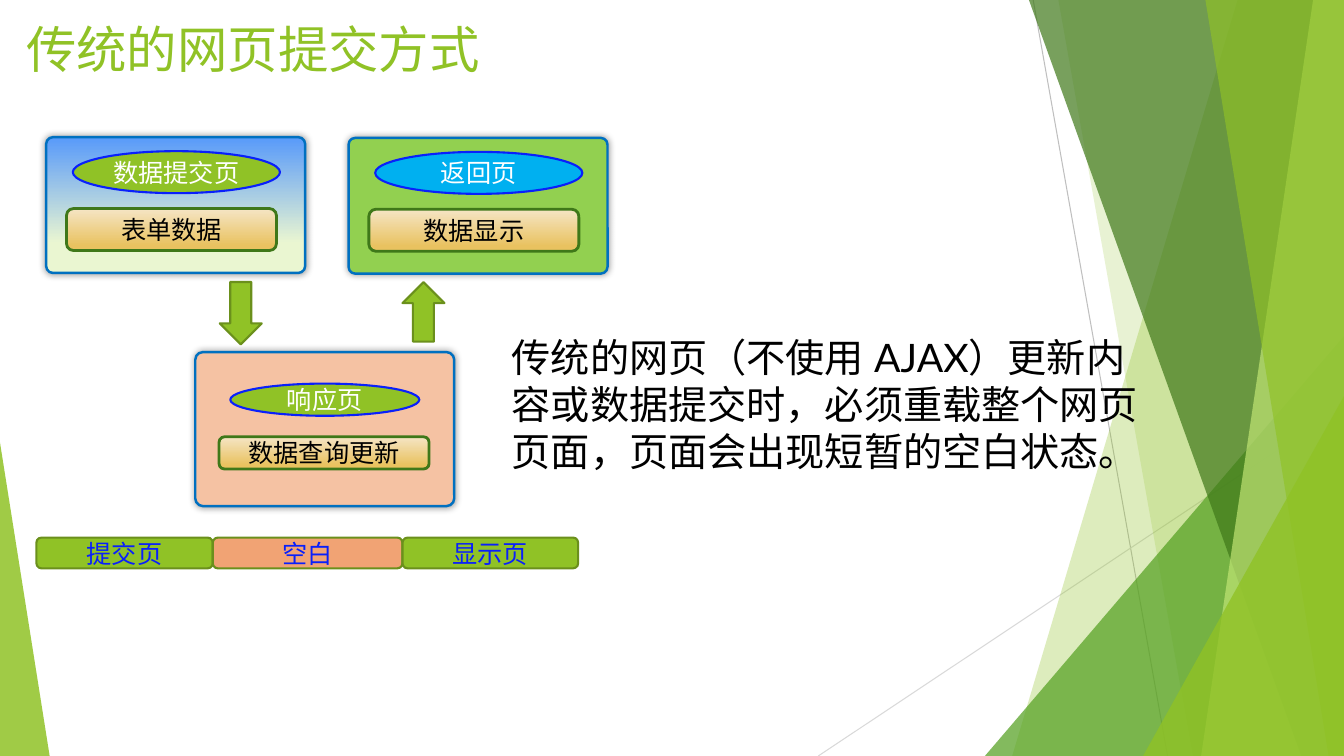
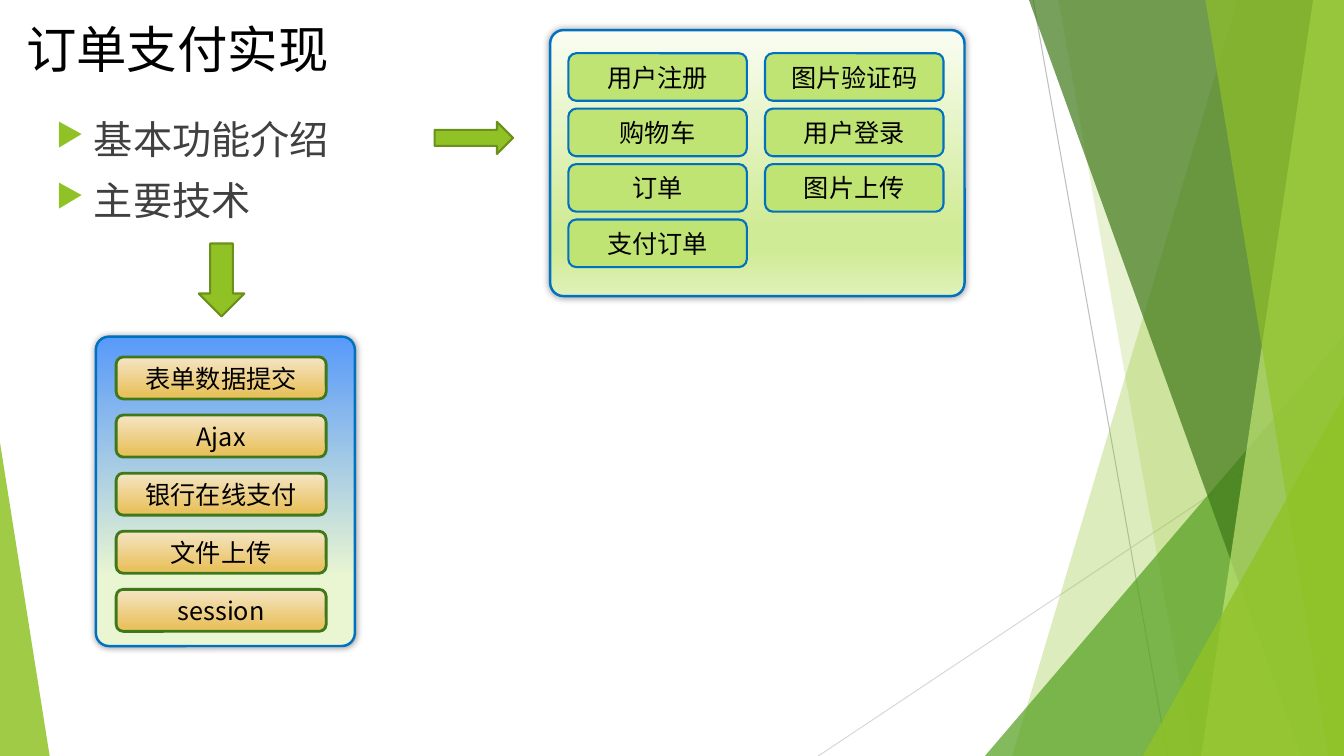
from lxml import etree
from pptx import Presentation
from pptx.dml.color import RGBColor
from pptx.enum import shapes as es, text as et
from pptx.oxml import ns
from pptx.util import Pt

WIDE, HIGH = 960, 540
LATO, NOTO = "Lato", "Noto Sans CJK SC"
LIME, MOSS, BLUE, INK = "90C226", "6B901C", "0070C0", "0920FB"
BLACK, WHITE = "000000", "FFFFFF"
KIND = es.MSO_SHAPE

SKY = [(0, "589AFA"), (78, "EAF6D1")]
GOLD = [(0, "F5E5C5"), (88, "E9C260")]
MINT = [(0, "FAFDF3"), (74, "D0EB96"), (83, "D0EB96"), (100, "DFF1B9")]

BOX = dict(kind=KIND.ROUNDED_RECTANGLE, fill=GOLD, line="3F7819", thick=2, font=NOTO)
KEY = dict(kind=KIND.ROUNDED_RECTANGLE, fill="C0E474", line=BLUE, font=NOTO)
OVAL = dict(kind=KIND.OVAL, line=INK, font=LATO, ink=WHITE)
STEP = dict(kind=KIND.FLOWCHART_ALTERNATE_PROCESS, line=MOSS, font=LATO, ink=INK)
ARROW = dict(fill=LIME, line=MOSS)


def put(item, **vals):
    for name, val in vals.items():
        setattr(item, name, val)


def node(base, tag, **vals):
    """Add an XML child such as a:alpha and return it."""
    return etree.SubElement(base, ns.qn(tag), {k: str(v) for k, v in vals.items()})


def tint(color, code):
    color.rgb = RGBColor.from_string(code)


def paint(shape, fill, alpha=100):
    """Fill with one hex colour, or downwards with a list of stops."""
    shape.shadow.inherit = False
    if isinstance(fill, str):
        shape.fill.solid()
        tint(shape.fill.fore_color, fill)
        if alpha < 100:
            color = shape._element.spPr.find(".//" + ns.qn("a:srgbClr"))
            node(color, "a:alpha", val=alpha * 1000)
        return
    shape.fill.gradient()
    shape.fill.gradient_angle = 270
    stops = shape._element.spPr.find(".//" + ns.qn("a:gsLst"))
    for old in list(stops):
        stops.remove(old)
    for pos, code in fill:
        node(node(stops, "a:gs", pos=pos * 1000), "a:srgbClr", val=code)


def write(para, words, size, font, ink):
    run = para.add_run()
    run.text = words
    put(run.font, size=Pt(size), name=font)
    tint(run.font.color, ink)
    node(run._r.get_or_add_rPr(), "a:ea", typeface=font)


def draw(slide, box, kind, fill, line, words="", thick=1.5, font=LATO, ink=BLACK):
    shape = slide.shapes.add_shape(kind, *map(Pt, box))
    paint(shape, fill)
    tint(shape.line.color, line)
    shape.line.width = Pt(thick)
    if words:
        frame = shape.text_frame
        put(frame, margin_left=0, margin_right=0, margin_top=0, margin_bottom=0,
            vertical_anchor=et.MSO_ANCHOR.MIDDLE)
        frame.paragraphs[0].alignment = et.PP_ALIGN.CENTER
        write(frame.paragraphs[0], words, 18, font, ink)
    return shape


def label(slide, box, lines, size, font, ink, anchor=et.MSO_ANCHOR.TOP):
    frame = slide.shapes.add_textbox(*map(Pt, box)).text_frame
    put(frame, word_wrap=True, vertical_anchor=anchor)
    for i, words in enumerate(lines):
        para = frame.add_paragraph() if i else frame.paragraphs[0]
        write(para, words, size, font, ink)
    return frame


def panel(slide, box, fill):
    """Rounded card with a soft shadow all round."""
    card = draw(slide, box, KIND.ROUNDED_RECTANGLE, fill, BLUE, thick=1.75)
    card.adjustments[0] = 0.05
    glow = node(card._element.spPr.find(ns.qn("a:effectLst")), "a:outerShdw",
                blurRad=Pt(5), dist=0, dir=0, algn="ctr", rotWithShape=0)
    node(node(glow, "a:srgbClr", val=BLACK), "a:alpha", val=40000)


def rule(slide, ends, code):
    line = slide.shapes.add_connector(es.MSO_CONNECTOR.STRAIGHT, *map(Pt, ends))
    tint(line.line.color, code)
    line.line.width = Pt(0.75)
    node(line._element.spPr, "a:effectLst")


def band(slide, top, foot, code, alpha):
    """Facet from a slanted left edge to the right side of the slide."""
    form = slide.shapes.build_freeform(Pt(top), 0)
    form.add_line_segments([(Pt(x), Pt(y)) for x, y in
                            ((WIDE, 0), (WIDE, HIGH), (foot, HIGH))])
    facet = form.convert_to_shape()
    paint(facet, code, alpha)
    facet.line.fill.background()


def wedge(slide, left, top, wide, peak, code, alpha):
    """Triangle standing on the foot of the slide."""
    box = (left, top, wide, HIGH - top)
    shape = slide.shapes.add_shape(KIND.ISOSCELES_TRIANGLE, *map(Pt, box))
    shape.adjustments[0] = peak
    paint(shape, code, alpha)
    shape.line.fill.background()


def start(deck, title, font, ink):
    """New slide with the faceted backdrop and its title."""
    slide = deck.slides.add_slide(deck.slide_layouts[6])
    rule(slide, (738, 0, 834, HIGH), "BFBFBF")
    rule(slide, (WIDE, 290, 584.5, HIGH), "D9D9D9")
    band(slide, 884, 723, LIME, 30)
    band(slide, 756, 852, LIME, 20)
    wedge(slide, 703.5, 240, 256.5, 1, "54A021", 72)
    band(slide, 735, 929.5, "3F7819", 70)
    band(slide, 938, 858, "C0E474", 70)
    band(slide, 861, 949, LIME, 65)
    wedge(slide, 816.5, 283, 143.5, 1, LIME, 80)
    wedge(slide, 0, 316, 35.5, 0, LIME, 85)
    label(slide, (11.5, 8.5, 342, 51.5), [title], 36, font, ink, et.MSO_ANCHOR.MIDDLE)
    return slide


def page(slide, box, fill, head, hue, body, oval, inner):
    """Card of one web page; oval and inner are relative to its corner."""
    x, y = box[:2]
    panel(slide, box, fill)
    draw(slide, (x + oval[0], y + oval[1], *oval[2:]), fill=hue, words=head, **OVAL)
    draw(slide, (x + inner[0], y + inner[1], *inner[2:]), words=body, **BOX)


def strip(slide, x, y, high, steps):
    for words, wide, fill in steps:
        draw(slide, (x, y, wide, high), fill=fill, words=words, **STEP)
        x += wide


def grid(slide, box, fill, cols, style, pad, size, pitch):
    """Card with columns of labelled keys at an even pitch."""
    panel(slide, box, fill)
    for c, col in enumerate(cols):
        for r, words in enumerate(col):
            spot = (box[0] + pad[0] + c * pitch[0], box[1] + pad[1] + r * pitch[1])
            draw(slide, spot + size, words=words, **style)


def flow(deck):
    slide = start(deck, "传统的网页提交方式", LATO, LIME)
    label(slide, (358.5, 234.5, 480, 109),
          ["传统的网页（不使用 AJAX）更新内容或数据提交时，必须重载整个网页页面，页面会出现短暂的空白状态。"],
          28, LATO, BLACK)
    upper = (19, 10, 148, 30), (14.5, 51, 150, 30)
    lower = (25, 22.5, 135, 23), (17, 60.5, 150, 23)
    page(slide, (33, 98, 185, 97), SKY, "数据提交页", LIME, "表单数据", *upper)
    page(slide, (249, 98.5, 185, 97), "92D050", "返回页", "00B0F0", "数据显示", *upper)
    page(slide, (139.5, 251.5, 185, 110), "F5C2A3", "响应页", LIME, "数据查询更新", *lower)
    draw(slide, (157, 201.5, 30, 44.5), KIND.DOWN_ARROW, **ARROW)
    draw(slide, (287.5, 201.5, 30, 42.5), KIND.UP_ARROW, **ARROW)
    strip(slide, 26, 384, 22, [("提交页", 126, LIME), ("空白", 135.5, "F1A374"),
                               ("显示页", 125.5, LIME)])


def order(deck):
    slide = start(deck, "订单支付实现", NOTO, BLACK)
    frame = label(slide, (33, 79, 220, 100), ["基本功能介绍", "主要技术"], 28, LATO, "404040")
    for para in frame.paragraphs:
        para.space_before = Pt(10)
        props = para._p.get_or_add_pPr()
        props.set("marL", str(Pt(27)))
        props.set("indent", str(Pt(-27)))
        node(node(props, "a:buClr"), "a:srgbClr", val=LIME)
        node(props, "a:buSzPct", val=80000)
        node(props, "a:buChar", char="▶")
    grid(slide, (393, 21.5, 296, 190), MINT,
         [["用户注册", "购物车", "订单", "支付订单"], ["图片验证码", "用户登录", "图片上传"]],
         KEY, (13, 16.5), (127.5, 34), (140.5, 39.6))
    grid(slide, (68.5, 240.5, 185, 221), SKY,
         [["表单数据提交", "Ajax", "银行在线支付", "文件上传", "session"]],
         BOX, (14.5, 14.5), (150, 30), (0, 41.5))
    draw(slide, (310.5, 87, 56, 23), KIND.RIGHT_ARROW, **ARROW)
    draw(slide, (142, 174, 32.5, 52), KIND.DOWN_ARROW, **ARROW)


def main():
    deck = Presentation()
    put(deck, slide_width=Pt(WIDE), slide_height=Pt(HIGH))
    flow(deck)
    order(deck)
    deck.save("out.pptx")


if __name__ == "__main__":
    main()
